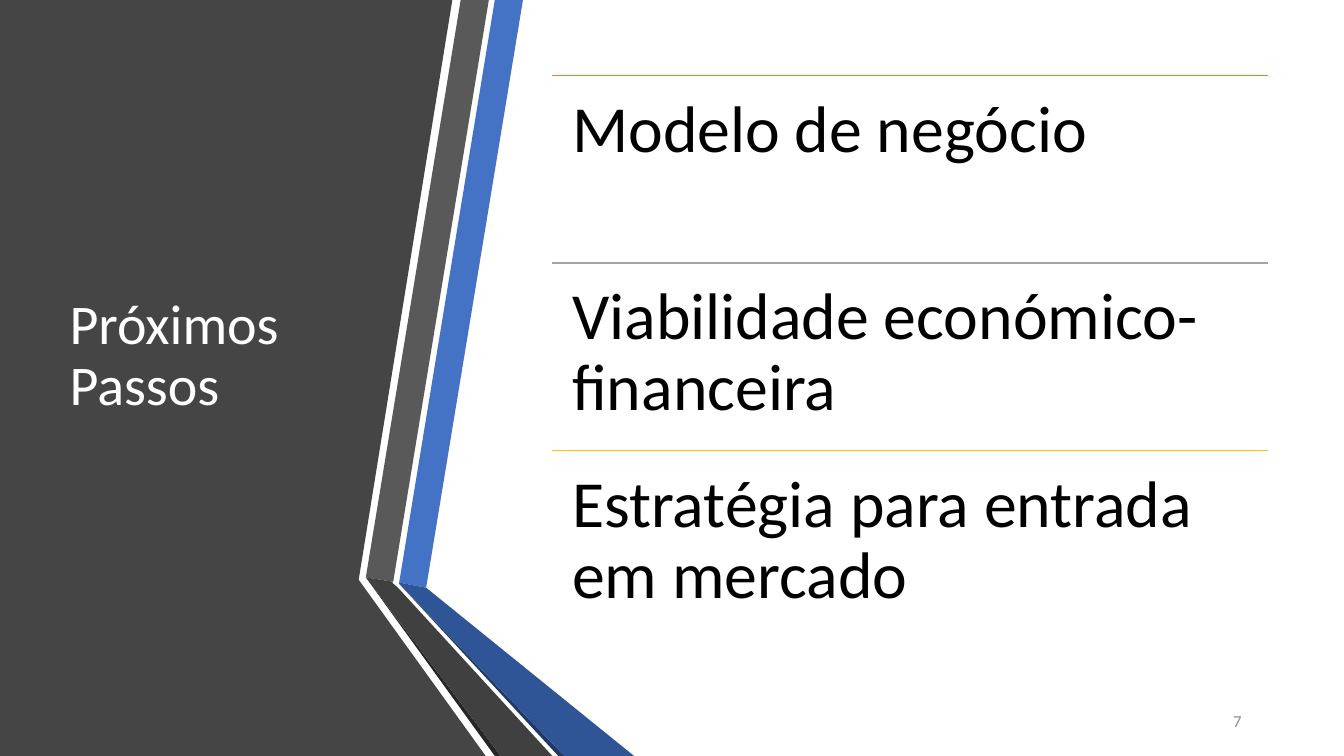
"""Builds the next-steps slide with its folded ribbon panel."""
from lxml.etree import SubElement
from pptx import Presentation
from pptx.dml.color import RGBColor as RGB
from pptx.enum.shapes import MSO_CONNECTOR as Link
from pptx.enum.text import MSO_ANCHOR as Anchor, MSO_AUTO_SIZE as Fit, PP_ALIGN as Align
from pptx.oxml.ns import qn
from pptx.util import Cm, Pt

WHITE = RGB(0xFF, 0xFF, 0xFF)
BLACK = RGB(0x00, 0x00, 0x00)
PANEL = RGB(0x45, 0x45, 0x45)
BLUE = RGB(0x44, 0x72, 0xC4)
DEEP = RGB(0x2F, 0x55, 0x97)
NAVY = RGB(0x20, 0x38, 0x64)
GREY = RGB(0x59, 0x59, 0x59)
DARK = RGB(0x40, 0x40, 0x40)
COAL = RGB(0x26, 0x26, 0x26)
MUTED = RGB(0x8C, 0x8C, 0x8C)
ORANGE = RGB(0xED, 0x7D, 0x31)
SILVER = RGB(0xA5, 0xA5, 0xA5)
GOLD = RGB(0xFF, 0xC0, 0x00)

BANDS = [
    (PANEL, [(0, 0), (1140, 0), (904, 1461), (1224, 1905), (0, 1905)]),
    (BLUE, [(1006, 1468), (1074, 1481), (1318, 0), (1247, 0)]),
    (GREY, [(1232, 0), (1161, 0), (922, 1455), (991, 1466)]),
    (COAL, [(922, 1455), (1247, 1905), (1262, 1905)]),
    (NAVY, [(1006, 1471), (1407, 1905), (1422, 1905)]),
    (DEEP, [(1006, 1471), (1422, 1905), (1598, 1905), (1074, 1481), (1006, 1468)]),
    (DARK, [(1392, 1905), (1003, 1481), (988, 1468), (991, 1466),
            (922, 1455), (1262, 1905)]),
]
STEPS = [
    (ORANGE, "Modelo de negócio"),
    (SILVER, "Viabilidade económico-financeira"),
    (GOLD, "Estratégia para entrada em mercado"),
]
LEFT, TOP, WIDTH, PITCH = 13.92, 1.91, 18.03, 4.72


class Deck:
    """Holds the text style and the current slide."""

    font = "Calibri"

    def __init__(self):
        self.show = Presentation()
        self.show.slide_width, self.show.slide_height = Cm(33.87), Cm(19.05)
        self.slide = self.show.slides.add_slide(self.show.slide_layouts[5])
        self.shapes = self.slide.shapes

    def band(self, color, points):
        """Draw a filled outline from points in hundredths of a centimetre."""
        pen = self.shapes.build_freeform(*points[0], scale=Cm(0.01))
        pen.add_line_segments(points[1:])
        shape = pen.convert_to_shape()
        shape.shadow.inherit = False
        shape.fill.solid()
        shape.fill.fore_color.rgb = color
        shape.line.fill.background()

    def rule(self, x, y, width, color):
        """Draw a thin horizontal line."""
        line = self.shapes.add_connector(Link.STRAIGHT, Cm(x), Cm(y), Cm(x + width), Cm(y))
        line.line.color.rgb = color
        line.line.width = Pt(1)
        SubElement(line._element.spPr, qn("a:effectLst"))

    def letter(self, shape, text, size, color, anchor, align=Align.LEFT, space=0.9):
        """Put one styled paragraph into a shape."""
        frame = shape.text_frame
        frame.text = text
        frame.word_wrap = True
        frame.auto_size = Fit.NONE
        frame.vertical_anchor = anchor
        par = frame.paragraphs[0]
        par.alignment = align
        par.line_spacing = space
        par.font.name = self.font
        par.font.size = Pt(size)
        par.font.color.rgb = color

    def title(self, text, x, y, width, height):
        """Fill the title placeholder and bring it to the front."""
        shape = self.shapes.title
        shape.left, shape.top, shape.width, shape.height = map(Cm, (x, y, width, height))
        self.letter(shape, text, 40, WHITE, Anchor.MIDDLE)
        self.shapes._spTree.append(shape._element)

    def label(self, text, x, y, width, height, size, color, pad=None, **style):
        """Add a text box, with equal margins if a pad is given."""
        box = self.shapes.add_textbox(Cm(x), Cm(y), Cm(width), Cm(height))
        self.letter(box, text, size, color, **style)
        if pad is not None:
            frame = box.text_frame
            frame.margin_left = frame.margin_right = Cm(pad)
            frame.margin_top = frame.margin_bottom = Cm(pad)


def main():
    deck = Deck()
    for color, points in BANDS:
        deck.band(color, points)
    deck.title("Próximos Passos", 1.5, 1.91, 7.72, 14.17)
    for row, (color, text) in enumerate(STEPS):
        y = TOP + row * PITCH
        deck.rule(LEFT, y, WIDTH, color)
        deck.label(text, LEFT, y, WIDTH, PITCH, 47, BLACK, pad=0.5, anchor=Anchor.TOP)
    deck.label("7", 23.92, 17.66, 7.62, 1.01, 12, MUTED,
               anchor=Anchor.MIDDLE, align=Align.RIGHT, space=1.0)
    deck.show.save("out.pptx")


if __name__ == "__main__":
    main()
